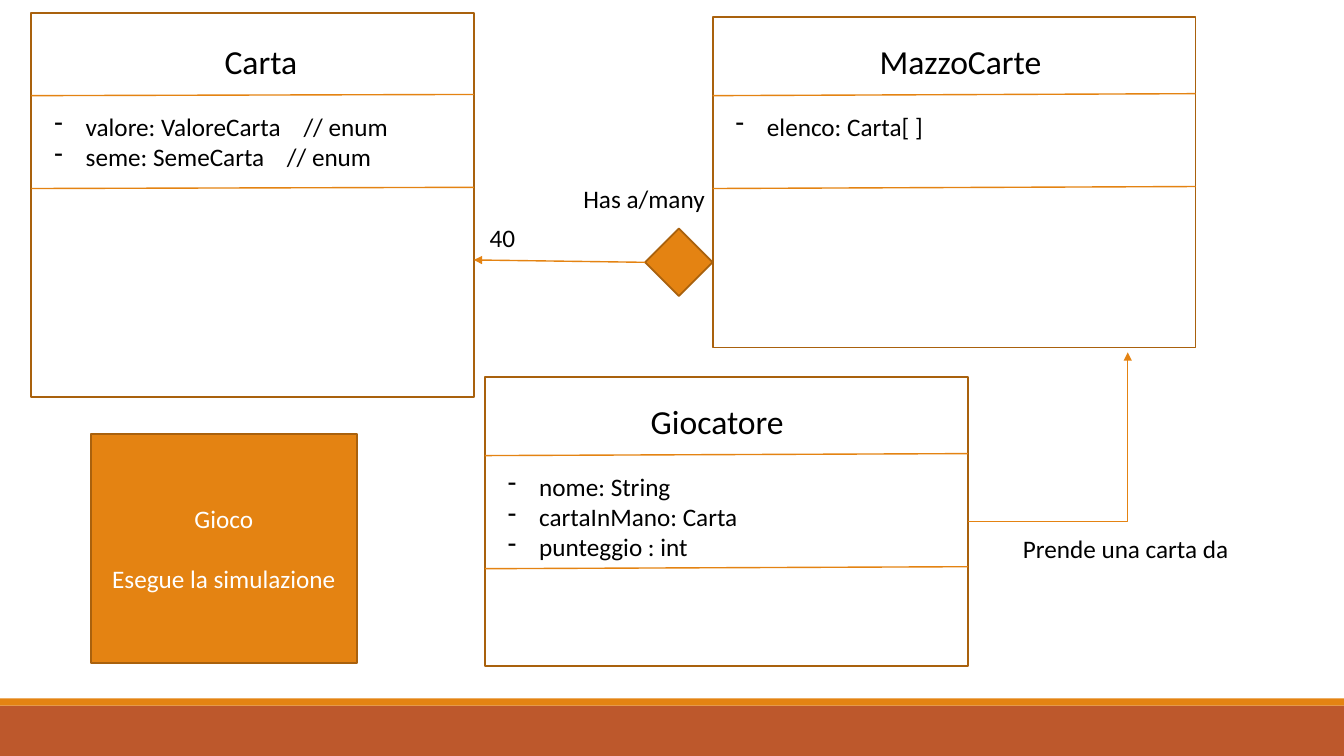
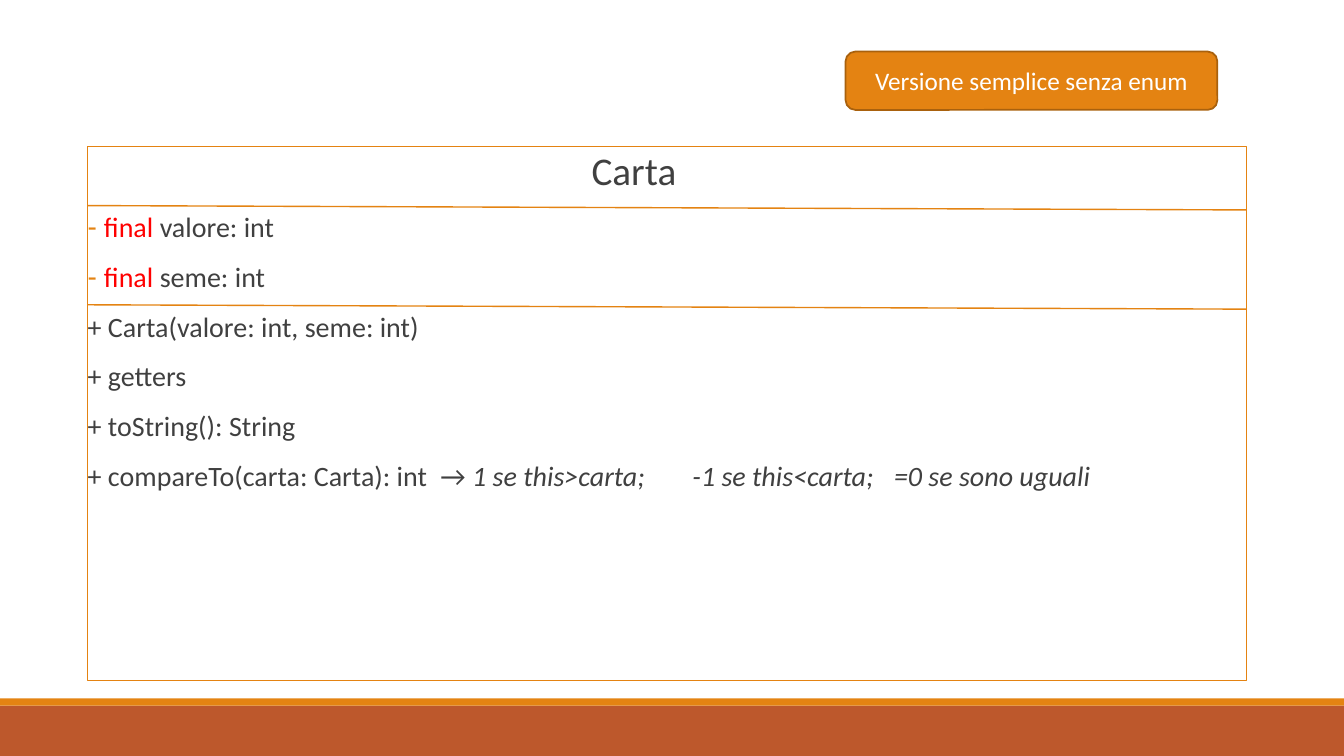
from dataclasses import dataclass

from lxml import etree
from pptx import Presentation
from pptx.dml.color import RGBColor
from pptx.enum.shapes import MSO_CONNECTOR, MSO_SHAPE
from pptx.enum.text import MSO_ANCHOR, MSO_AUTO_SIZE, PP_ALIGN
from pptx.oxml.ns import qn
from pptx.util import Cm, Pt

RECT, ROUND, DIAMOND = MSO_SHAPE.RECTANGLE, MSO_SHAPE.ROUNDED_RECTANGLE, MSO_SHAPE.DIAMOND
STRAIGHT, ELBOW = MSO_CONNECTOR.STRAIGHT, MSO_CONNECTOR.ELBOW
LEFT, CENTER = PP_ALIGN.LEFT, PP_ALIGN.CENTER
TOP, MIDDLE = MSO_ANCHOR.TOP, MSO_ANCHOR.MIDDLE
NO_FIT = MSO_AUTO_SIZE.NONE

FONT = "Calibri"
WIDTH, HEIGHT = 33.87, 19.05
ORANGE, BROWN, RUST = "E48312", "A9610D", "BD582C"
WHITE, BLACK, GREY, RED = "FFFFFF", "000000", "404040", "FF0000"
LEFT_SITE, RIGHT_SITE = 1, 3


@dataclass(frozen=True)
class Box:
    x: float
    y: float
    w: float
    h: float


@dataclass(frozen=True)
class Run:
    text: str
    size: float = 18
    color: str = BLACK
    italic: bool = False


@dataclass(frozen=True)
class Para:
    runs: tuple[Run, ...]
    indent: float = 0
    bullet: str = ""
    bullet_color: str = ""
    align: PP_ALIGN = LEFT
    before: float = 0
    after: float = 0
    spacing: float = 1
    tabs: tuple[float, ...] = ()


@dataclass(frozen=True)
class UmlClass:
    name: str
    box: Box
    name_x: float
    name_y: float
    fields: tuple[Para, ...]
    fields_end: float
    tilt: float = 0.05


def rgb(color):
    return RGBColor.from_string(color)


def write(tf, paras: tuple[Para, ...]) -> None:
    for i, para in enumerate(paras):
        p = tf.paragraphs[0] if i == 0 else tf.add_paragraph()
        p.alignment = para.align
        p.line_spacing = para.spacing
        p.space_before, p.space_after = Pt(para.before), Pt(para.after)
        pPr = p._p.get_or_add_pPr()
        pPr.set("marL", str(Cm(para.indent)))
        pPr.set("indent", str(-Cm(para.indent) if para.bullet else 0))
        if para.bullet_color:
            clr = etree.SubElement(pPr, qn("a:buClr"))
            etree.SubElement(clr, qn("a:srgbClr"), val=para.bullet_color)
        if para.bullet:
            etree.SubElement(pPr, qn("a:buChar"), char=para.bullet)
        else:
            etree.SubElement(pPr, qn("a:buNone"))
        if para.tabs:
            stops = etree.SubElement(pPr, qn("a:tabLst"))
            for pos in para.tabs:
                etree.SubElement(stops, qn("a:tab"), pos=str(Cm(pos)), algn="l")
        for run in para.runs:
            r = p.add_run()
            r.text = run.text
            r.font.name, r.font.size = FONT, Pt(run.size)
            r.font.italic = run.italic
            r.font.color.rgb = rgb(run.color)


def add_box(s, kind, box: Box, fill: str, line: str = "", paras: tuple[Para, ...] = ()):
    sp = s.shapes.add_shape(kind, Cm(box.x), Cm(box.y), Cm(box.w), Cm(box.h))
    sp.shadow.inherit = False
    sp.fill.solid()
    sp.fill.fore_color.rgb = rgb(fill)
    if line:
        sp.line.color.rgb = rgb(line)
        sp.line.width = Pt(1.25)
    else:
        sp.line.fill.background()
    if paras:
        sp.text_frame.word_wrap = True
        sp.text_frame.vertical_anchor = MIDDLE
        write(sp.text_frame, paras)
    return sp


def add_text(s, x: float, y: float, w: float, paras: tuple[Para, ...]) -> None:
    sp = s.shapes.add_textbox(Cm(x), Cm(y), Cm(w), Cm(1))
    sp.text_frame.word_wrap = True
    write(sp.text_frame, paras)


def add_line(s, x1: float, y1: float, x2: float, y2: float, kind=STRAIGHT, arrow: bool = False):
    sp = s.shapes.add_connector(kind, Cm(x1), Cm(y1), Cm(x2), Cm(y2))
    sp.line.color.rgb = rgb(ORANGE)
    sp.line.width = Pt(1)
    spPr = sp.element.spPr
    if arrow:
        etree.SubElement(spPr.find(qn("a:ln")), qn("a:tailEnd"), type="triangle")
    if kind == ELBOW:
        spPr.find(qn("a:prstGeom")).set("prst", "bentConnector2")
    etree.SubElement(spPr, qn("a:effectLst"))
    return sp


def add_class(s, uml: UmlClass):
    b = uml.box
    sp = add_box(s, RECT, b, WHITE, BROWN)
    add_text(s, uml.name_x, uml.name_y, 5, (Para((Run(uml.name, 24),)),))
    add_text(s, b.x + 0.33, uml.name_y + 1.76, 9.8, uml.fields)
    for offset in (1.5, uml.fields_end):
        y = uml.name_y + offset
        add_line(s, b.x, y, b.x + b.w, y - uml.tilt)
    return sp


def field(text: str, *tabs: float) -> Para:
    return Para((Run(text),), indent=0.79, bullet="-", tabs=tabs)


def label(text: str, before: float = 0) -> Para:
    return Para((Run(text, color=WHITE),), align=CENTER, before=before)


def member(*runs: Run, indent: float = 0, bullet: str = "", tabs: tuple[float, ...] = ()) -> Para:
    return Para(runs, indent, bullet, ORANGE if bullet else "", before=12, after=2,
                spacing=0.9, tabs=tabs)


def final_field(text: str) -> Para:
    return member(Run("final ", 20, RED), Run(text, 20, GREY), indent=0.41, bullet="-")


def add_bands(prs, s) -> None:
    for box, color in ((Box(0, 17.78, WIDTH, 1.27), RUST), (Box(0, 17.6, WIDTH, 0.18), ORANGE)):
        sp = add_box(s, RECT, box, color)
        prs.slide_master.shapes.element.append(sp.element)


def build_diagram(s) -> None:
    carta = UmlClass("Carta", Box(0.79, 0.33, 11.15, 9.68), 5.41, 0.91,
                     (field("valore: ValoreCarta\t// enum", 6.28),
                      field("seme: SemeCarta\t// enum", 5.86)), 3.84, 0.03)
    mazzo = UmlClass("MazzoCarte", Box(17.96, 0.43, 12.17, 8.33), 21.92, 0.91,
                     (field("elenco: Carta[ ]"),), 3.84)
    giocatore = UmlClass("Giocatore", Box(12.22, 9.5, 12.17, 7.29), 16.15, 9.98,
                         tuple(map(field, ("nome: String", "cartaInMano: Carta",
                                           "punteggio : int"))), 4.35)
    add_class(s, carta)
    add_class(s, mazzo)
    player = add_class(s, giocatore)
    diamond = add_box(s, DIAMOND, Box(16.26, 5.76, 1.7, 1.7), ORANGE, BROWN)
    has = add_line(s, 16.26, 6.61, 11.94, 6.55, arrow=True)
    has.begin_connect(diamond, LEFT_SITE)
    takes = add_line(s, 24.39, 13.14, 28.42, 8.88, ELBOW, True)
    takes.begin_connect(player, RIGHT_SITE)
    for text, x, y, w in (("40", 12.09, 5.49, 1.5), ("Has a/many", 14.45, 4.5, 4),
                          ("Prende una carta da", 25.53, 13.31, 6.5)):
        add_text(s, x, y, w, (Para((Run(text),)),))
    add_box(s, RECT, Box(2.29, 10.94, 6.7, 5.77), ORANGE, BROWN,
            (label("Gioco"), label("Esegue la simulazione", 21.6)))


def build_simple_class(s) -> None:
    title = s.shapes.title.element
    title.getparent().remove(title)
    box = Box(2.21, 3.68, 29.21, 13.46)
    body = s.placeholders[1]
    body.left, body.top, body.width, body.height = map(Cm, (box.x, box.y, box.w, box.h))
    body.line.color.rgb = rgb(ORANGE)
    body.line.width = Pt(0.75)
    tf = body.text_frame
    tf.auto_size, tf.word_wrap, tf.vertical_anchor = NO_FIT, True, TOP
    tf.margin_left = tf.margin_right = 0
    tf.margin_top = tf.margin_bottom = Cm(0.13)
    methods = ("+ Carta(valore: int, seme: int)", "+ getters", "+ toString(): String")
    write(tf, (
        member(Run("Carta", 28, GREY), indent=12.7),
        final_field("valore: int"),
        final_field("seme: int"),
        *(member(Run(text, 20, GREY)) for text in methods),
        member(Run("+ compareTo(carta: Carta): int\t→ ", 20, GREY),
               Run("1 se this>carta;\t-1 se this<carta;\t=0 se sono uguali", 20, GREY, True),
               tabs=(9.2, 15, 20.36)),
    ))
    for y in (5.18, 7.68):
        add_line(s, box.x, y, box.x + box.w, y + 0.11)
    add_box(s, ROUND, Box(21.31, 1.3, 9.37, 1.47), ORANGE, BROWN,
            (label("Versione semplice senza enum"),))


def main() -> None:
    prs = Presentation()
    prs.slide_width, prs.slide_height = Cm(WIDTH), Cm(HEIGHT)
    diagram = prs.slides.add_slide(prs.slide_layouts[6])
    add_bands(prs, diagram)
    build_diagram(diagram)
    build_simple_class(prs.slides.add_slide(prs.slide_layouts[1]))
    prs.save("out.pptx")


if __name__ == "__main__":
    main()
